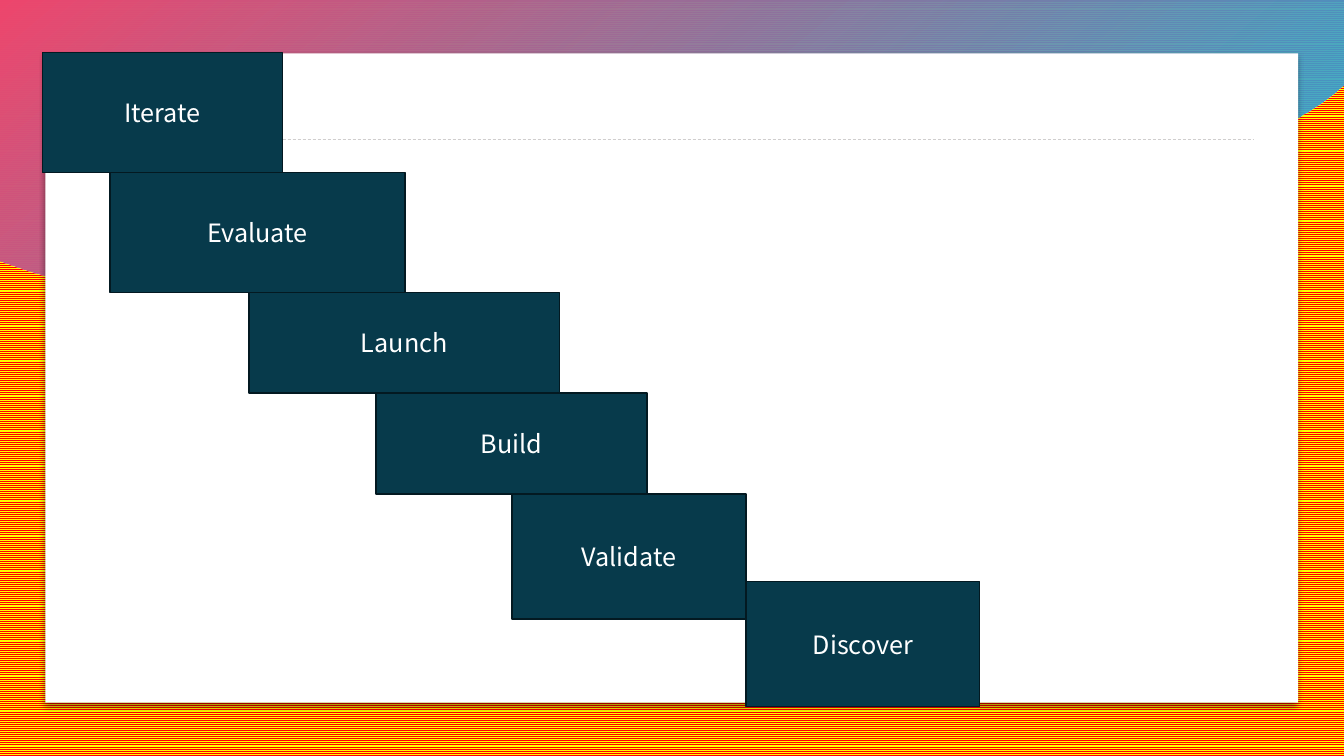
from dataclasses import dataclass

import pptx
import pptx.dml.color
import pptx.enum.dml
import pptx.enum.shapes
import pptx.enum.text
import pptx.oxml
import pptx.oxml.ns
import pptx.util

COLORS = {
    "yellow": "FFFF00", "red": "FF0000", "pink": "EE476E", "sky": "16B3E8",
    "panel": "FFFFFF", "rule": "D0CECE", "step": "073A4B", "edge": "031921",
    "text": "FFFFFF", "shadow": "000000",
}
FONT = "Noto Sans CJK JP"
CELL = pptx.util.Inches(0.1)
COLS, ROWS = 133.33, 75
CURVE_PARTS = 24
A_NS = pptx.oxml.ns.nsdecls("a")

Point = tuple[float, float]


@dataclass(frozen=True)
class Step:
    name: str
    col: float
    cols: float
    rows: float
    overlap: float = 0


@dataclass(frozen=True)
class Curve:
    c1: Point
    c2: Point
    end: Point


STEPS = [
    Step("Iterate", 4.2, 23.8, 11.9),
    Step("Evaluate", 10.9, 29.3, 11.9),
    Step("Launch", 24.7, 30.8, 10),
    Step("Build", 37.3, 26.9, 10),
    Step("Validate", 50.8, 23.2, 12.4),
    Step("Discover", 74, 23.2, 12.4, overlap=3.7),
]
STAIR_TOP = 5.2

WAVE_START = (0, 25.8)
WAVE = [
    Curve((12.2, 30.4), (26.6, 31.1), (39.3, 27.4)),
    Curve((53, 23.5), (64.8, 15.1), (79.2, 13.6)),
    Curve((93.6, 12.1), (108.8, 18), (122.7, 14.2)),
    Curve((126.7, 13.1), (130.4, 11.1), (COLS, 8.5)),
]


def cells(n: float) -> int:
    return round(n * CELL)


def rgb(name: str) -> pptx.dml.color.RGBColor:
    return pptx.dml.color.RGBColor.from_string(COLORS[name])


def curve_points(start: Point, curve: Curve) -> list[Point]:
    points = []
    for i in range(1, CURVE_PARTS + 1):
        t = i / CURVE_PARTS
        u = 1 - t
        points.append(tuple(
            u**3 * a + 3 * u * u * t * b + 3 * u * t * t * c + t**3 * d
            for a, b, c, d in zip(start, curve.c1, curve.c2, curve.end)
        ))
    return points


def paint_background(slide: pptx.slide.Slide) -> None:
    fill = slide.background.fill
    fill.patterned()
    fill.pattern = pptx.enum.dml.MSO_PATTERN.LIGHT_HORIZONTAL
    fill.fore_color.rgb = rgb("yellow")
    fill.back_color.rgb = rgb("red")


def add_wave(slide: pptx.slide.Slide) -> None:
    points = [WAVE_START]
    for curve in WAVE:
        points += curve_points(points[-1], curve)
    points.append((COLS, 0))
    builder = slide.shapes.build_freeform(0, 0, scale=CELL / 1000)
    builder.add_line_segments(
        [(round(x * 1000), round(y * 1000)) for x, y in points], close=True
    )
    sp = builder.convert_to_shape()
    sp.shadow.inherit = False
    sp.line.fill.background()
    sp.fill.gradient()
    sp.fill.gradient_angle = 360 - 50
    for stop, position, color in zip(sp.fill.gradient_stops, (0, 1), ("pink", "sky")):
        stop.position = position
        stop.color.rgb = rgb(color)
    last = sp._element.spPr.findall(".//" + pptx.oxml.ns.qn("a:srgbClr"))[-1]
    last.append(pptx.oxml.parse_xml(f'<a:alpha {A_NS} val="90000"/>'))


def add_box(slide: pptx.slide.Slide, col: float, row: float, cols: float,
            rows: float, color: str) -> pptx.shapes.autoshape.Shape:
    sp = slide.shapes.add_shape(
        pptx.enum.shapes.MSO_SHAPE.RECTANGLE,
        cells(col), cells(row), cells(cols), cells(rows),
    )
    sp.shadow.inherit = False
    sp.fill.solid()
    sp.fill.fore_color.rgb = rgb(color)
    return sp


def add_panel(slide: pptx.slide.Slide) -> None:
    sp = add_box(slide, 4.5, 5.3, 124.3, 64.4, "panel")
    sp.line.fill.background()
    effects = sp._element.spPr.find(pptx.oxml.ns.qn("a:effectLst"))
    effects.append(pptx.oxml.parse_xml(
        f'<a:outerShdw {A_NS} blurRad="{pptx.util.Pt(4)}" dist="{pptx.util.Pt(3)}"'
        f' dir="5400000" algn="t" rotWithShape="0"><a:srgbClr val="{COLORS["shadow"]}">'
        '<a:alpha val="40000"/></a:srgbClr></a:outerShdw>'
    ))


def add_rule(slide: pptx.slide.Slide) -> None:
    rule = slide.shapes.add_connector(
        pptx.enum.shapes.MSO_CONNECTOR.STRAIGHT,
        cells(9.2), cells(13.8), cells(124.3), cells(13.8),
    )
    rule.line.color.rgb = rgb("rule")
    rule.line.width = pptx.util.Pt(0.5)
    rule.line.dash_style = pptx.enum.dml.MSO_LINE.DASH
    rule._element.spPr.append(pptx.oxml.parse_xml(f"<a:effectLst {A_NS}/>"))


def add_step(slide: pptx.slide.Slide, step: Step, row: float) -> None:
    sp = add_box(slide, step.col, row, step.cols, step.rows, "step")
    sp.line.color.rgb = rgb("edge")
    sp.line.width = pptx.util.Pt(1)
    tf = sp.text_frame
    tf.vertical_anchor = pptx.enum.text.MSO_ANCHOR.MIDDLE
    p = tf.paragraphs[0]
    p.text = step.name
    p.alignment = pptx.enum.text.PP_ALIGN.CENTER
    p.font.name = FONT
    p.font.size = pptx.util.Pt(18)
    p.font.color.rgb = rgb("text")


def main() -> None:
    prs = pptx.Presentation()
    prs.slide_width, prs.slide_height = cells(COLS), cells(ROWS)
    slide = prs.slides.add_slide(prs.slide_layouts[6])
    paint_background(slide)
    add_wave(slide)
    add_panel(slide)
    add_rule(slide)
    row = STAIR_TOP
    for step in STEPS:
        row -= step.overlap
        add_step(slide, step, row)
        row += step.rows
    prs.save("out.pptx")


if __name__ == "__main__":
    main()
